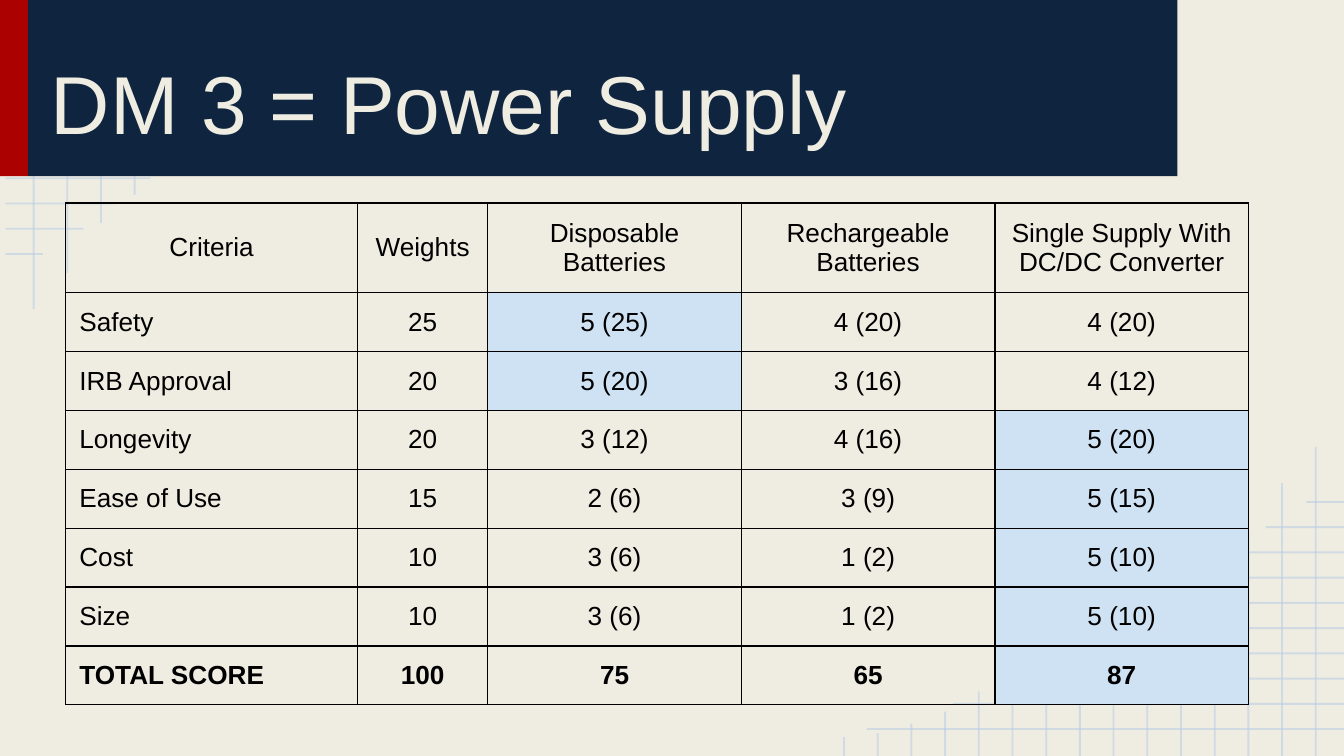
from lxml import etree
from pptx import Presentation
from pptx.dml.color import RGBColor
from pptx.enum.shapes import MSO_CONNECTOR, MSO_SHAPE
from pptx.enum.text import MSO_ANCHOR, PP_ALIGN
from pptx.oxml.ns import qn
from pptx.util import Inches, Pt

STRAIGHT = MSO_CONNECTOR.STRAIGHT
RECTANGLE = MSO_SHAPE.RECTANGLE
LEFT, CENTER = PP_ALIGN.LEFT, PP_ALIGN.CENTER
MIDDLE, BOTTOM = MSO_ANCHOR.MIDDLE, MSO_ANCHOR.BOTTOM

FONT = "Arial"
CREAM, NAVY, RED, BLACK = "EFEDE2", "0F243E", "AB0101", "000000"
GRID_BLUE, BEST_BLUE = "B7CCE4", "CFE2F3"
GRID_OPACITY = 54
SLIDE_W = 10
SLIDE_H = SLIDE_W * 9 / 16

TITLE = "DM 3 = Power Supply"
HEADER = ["Criteria", "Weights", "Disposable Batteries", "Rechargeable Batteries",
          "Single Supply With DC/DC Converter"]
# Each criterion with its scores and the column of the best option
SCORES = [
    (["Safety", "25", "5 (25)", "4 (20)", "4 (20)"], 2),
    (["IRB Approval", "20", "5 (20)", "3 (16)", "4 (12)"], 2),
    (["Longevity", "20", "3 (12)", "4 (16)", "5 (20)"], 4),
    (["Ease of Use", "15", "2 (6)", "3 (9)", "5 (15)"], 4),
    (["Cost", "10", "3 (6)", "1 (2)", "5 (10)"], 4),
    (["Size", "10", "3 (6)", "1 (2)", "5 (10)"], 4),
    (["TOTAL SCORE", "100", "75", "65", "87"], 4),
]
MATRIX_W, MATRIX_H = 8.8, 3.73
CRITERIA_W, WEIGHTS_W, HEADER_H = 2.17, 0.97, 0.66
OPTION_W = (MATRIX_W - CRITERIA_W - WEIGHTS_W) / 3
SCORE_H = (MATRIX_H - HEADER_H) / len(SCORES)

# Corner grid: where each line ends, going away from the top left corner
ROW_ENDS = [3.59, 2.95, 2.41, 2.07, 1.67, 1.37, 1.12, 0.85, 0.62, 0.32]
COLUMN_ENDS = [2.3, 2.03, 1.66, 1.45, 1.29, 1.16, 0.99, 0.86,
               0.72, 0.62, 0.48, 0.33, 0.24, 0.17, 0.14]
GRID_LEFT, FIRST_ROW, FIRST_COLUMN = 0.04, 0.2, 0.25
ROW_GAP = (1.89 - FIRST_ROW) / (len(ROW_ENDS) - 1)
COLUMN_GAP = (3.76 - FIRST_COLUMN) / (len(COLUMN_ENDS) - 1)


def rgb(color):
    return RGBColor.from_string(color)


def style_text(paragraph, size, color, align=LEFT, bold=False):
    paragraph.alignment = align
    paragraph.font.name = FONT
    paragraph.font.size = Pt(size)
    paragraph.font.bold = bold
    paragraph.font.color.rgb = rgb(color)


def add_corner_grid(slide, turned=False):
    """Draw the grid at the top left, or turned half round at the bottom right."""
    rows = [(GRID_LEFT, FIRST_ROW + i * ROW_GAP, end, FIRST_ROW + i * ROW_GAP)
            for i, end in enumerate(ROW_ENDS)]
    columns = [(FIRST_COLUMN + i * COLUMN_GAP, end, FIRST_COLUMN + i * COLUMN_GAP, 0)
               for i, end in enumerate(COLUMN_ENDS)]
    grid = slide.shapes.add_group_shape()
    for x1, y1, x2, y2 in rows + columns:
        if turned:
            x1, x2 = SLIDE_W + GRID_LEFT - x1, SLIDE_W + GRID_LEFT - x2
            y1, y2 = SLIDE_H - y1, SLIDE_H - y2
        line = grid.shapes.add_connector(
            STRAIGHT, Inches(x1), Inches(y1), Inches(x2), Inches(y2))
        line.line.width = Pt(1)
        line.line.color.rgb = rgb(GRID_BLUE)
        properties = line._element.spPr
        color = properties.find(".//" + qn("a:srgbClr"))
        etree.SubElement(color, qn("a:alpha"), val=str(GRID_OPACITY * 1000))
        etree.SubElement(properties, qn("a:effectLst"))


def add_banner(slide):
    banner = slide.shapes.add_group_shape()
    for left, width, color in [(0, 0.21, RED), (0.21, 8.55, NAVY)]:
        band = banner.shapes.add_shape(
            RECTANGLE, Inches(left), Inches(-0.01), Inches(width), Inches(1.32))
        band.shadow.inherit = False
        band.fill.solid()
        band.fill.fore_color.rgb = rgb(color)
        band.line.fill.background()


def add_title(slide):
    frame = slide.shapes.add_textbox(
        Inches(0.28), Inches(0.11), Inches(8.4), Inches(1.11)).text_frame
    frame.word_wrap = True
    frame.vertical_anchor = BOTTOM
    frame.margin_left = frame.margin_right = Inches(0.1)
    frame.margin_top = frame.margin_bottom = Inches(0.1)
    frame.text = TITLE
    style_text(frame.paragraphs[0], 44, CREAM)


def add_borders(cell):
    properties = cell._tc.get_or_add_tcPr()
    for side in ("a:lnL", "a:lnR", "a:lnT", "a:lnB"):
        border = etree.SubElement(properties, qn(side), w=str(Pt(0.75)))
        fill = etree.SubElement(border, qn("a:solidFill"))
        etree.SubElement(fill, qn("a:srgbClr"), val=BLACK)


def add_decision_matrix(slide):
    rows = [(HEADER, None)] + SCORES
    heights = [HEADER_H] + [SCORE_H] * len(SCORES)
    widths = [CRITERIA_W, WEIGHTS_W] + [OPTION_W] * 3
    matrix = slide.shapes.add_table(
        len(rows), len(HEADER), Inches(0.49), Inches(1.51),
        Inches(MATRIX_W), Inches(MATRIX_H)).table
    matrix.first_row = matrix.horz_banding = False
    for column, width in zip(matrix.columns, widths):
        column.width = Inches(width)
    for r, (values, best) in enumerate(rows):
        matrix.rows[r].height = Inches(heights[r])
        for c, value in enumerate(values):
            cell = matrix.cell(r, c)
            cell.text = value
            cell.vertical_anchor = MIDDLE
            cell.margin_left = cell.margin_right = Inches(0.1)
            cell.margin_top = cell.margin_bottom = Inches(0.1)
            align = LEFT if r > 0 and c == 0 else CENTER
            style_text(cell.text_frame.paragraphs[0], 14, BLACK, align,
                       bold=r == len(rows) - 1)
            add_borders(cell)
            if c == best:
                cell.fill.solid()
                cell.fill.fore_color.rgb = rgb(BEST_BLUE)
            else:
                cell.fill.background()


def main():
    deck = Presentation()
    deck.slide_width, deck.slide_height = Inches(SLIDE_W), Inches(SLIDE_H)
    slide = deck.slides.add_slide(deck.slide_layouts[6])
    slide.background.fill.solid()
    slide.background.fill.fore_color.rgb = rgb(CREAM)
    add_corner_grid(slide)
    add_corner_grid(slide, turned=True)
    add_banner(slide)
    add_title(slide)
    add_decision_matrix(slide)
    deck.save("out.pptx")


if __name__ == "__main__":
    main()
